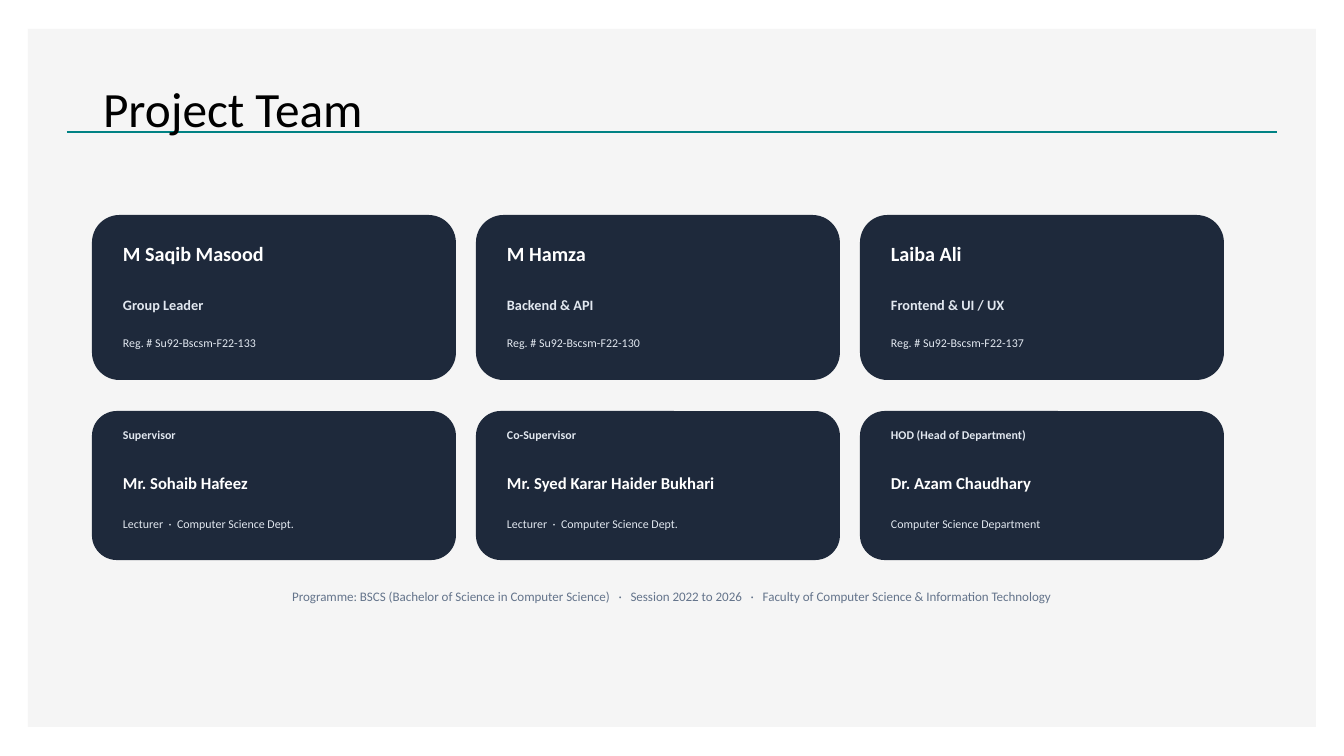
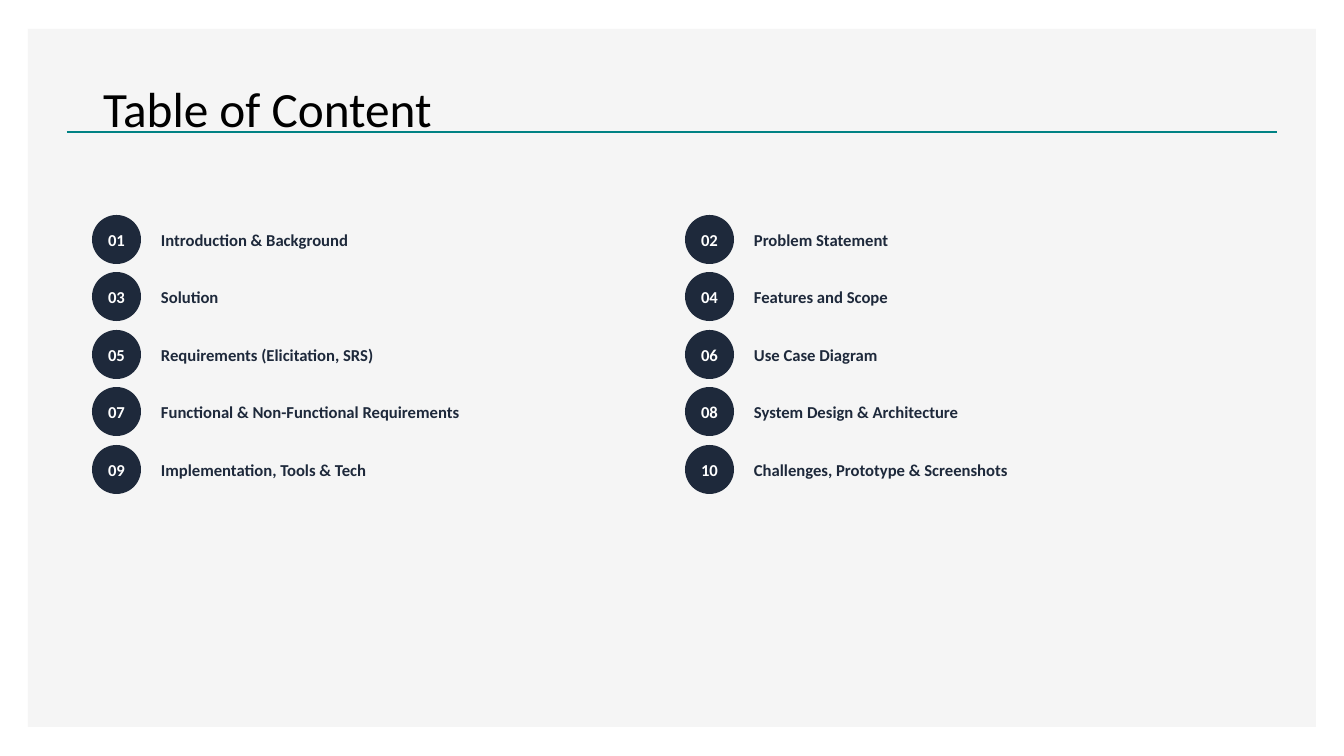
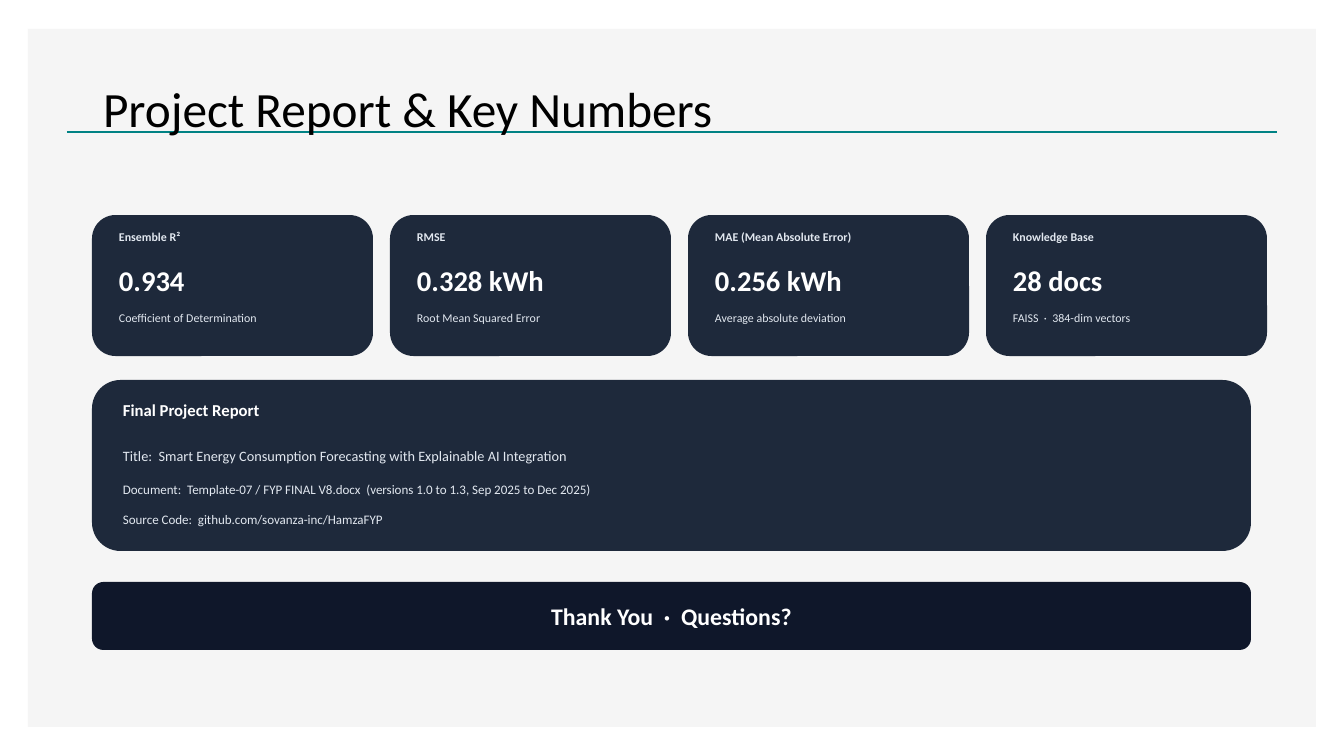
from dataclasses import dataclass

from lxml import etree
from pptx import Presentation
from pptx.dml.color import RGBColor
from pptx.enum.shapes import MSO_CONNECTOR, MSO_SHAPE
from pptx.enum.text import MSO_ANCHOR, MSO_AUTO_SIZE, PP_ALIGN
from pptx.oxml.ns import qn
from pptx.util import Emu, Pt

RECT, ROUNDED, OVAL = MSO_SHAPE.RECTANGLE, MSO_SHAPE.ROUNDED_RECTANGLE, MSO_SHAPE.OVAL
STRAIGHT = MSO_CONNECTOR.STRAIGHT
TOP, MIDDLE = MSO_ANCHOR.TOP, MSO_ANCHOR.MIDDLE
LEFT, CENTER = PP_ALIGN.LEFT, PP_ALIGN.CENTER
NO_FIT = MSO_AUTO_SIZE.NONE

SLIDE_W, SLIDE_H = 1344, 756
SCALE = 12192000 / SLIDE_W
MARGIN, BODY_TOP, BODY_W = 92, 215, 1159


def px(n):
    return Emu(round(n * SCALE))


@dataclass(frozen=True)
class TextStyle:
    size: float
    color: str
    bold: bool = False


@dataclass(frozen=True)
class Theme:
    font: str = "Calibri"
    panel: str = "F5F5F5"
    rule: str = "008284"
    card: str = "1E293B"
    banner: str = "0F172A"
    title: TextStyle = TextStyle(35.2, "000000")
    number: TextStyle = TextStyle(20.4, "FFFFFF", True)
    closing: TextStyle = TextStyle(17, "FFFFFF", True)
    name: TextStyle = TextStyle(14.4, "FFFFFF", True)
    heading: TextStyle = TextStyle(11.9, "FFFFFF", True)
    topic: TextStyle = TextStyle(11.9, "1E293B", True)
    role: TextStyle = TextStyle(10.2, "E2E8F0", True)
    body: TextStyle = TextStyle(10.2, "E2E8F0")
    detail: TextStyle = TextStyle(9.3, "E2E8F0")
    caption: TextStyle = TextStyle(9.3, "64748B")
    label: TextStyle = TextStyle(8.5, "E2E8F0", True)
    note: TextStyle = TextStyle(8.5, "E2E8F0")


class Deck:
    def __init__(self, theme):
        self.theme = theme
        self.prs = Presentation()
        self.prs.slide_width, self.prs.slide_height = px(SLIDE_W), px(SLIDE_H)
        self.layout = self.prs.slide_layouts[5]
        self.s = None

    def slide(self, title):
        first = self.s is None
        self.s = self.prs.slides.add_slide(self.layout)
        if first:
            self.backdrop()
        sp = self.s.shapes.title
        sp.left, sp.top, sp.width, sp.height = px(93), px(40), px(BODY_W), px(146)
        tf = sp.text_frame
        tf.auto_size, tf.vertical_anchor = NO_FIT, MIDDLE
        self.run(tf.paragraphs[0], title, self.theme.title, LEFT)
        tf.paragraphs[0].line_spacing = 0.8

    def backdrop(self):
        panel = self.shape(RECT, 28, 29, 1288, 698, self.theme.panel)
        rule = self.line(67, 132, 1277, 132, self.theme.rule, 2)
        for i, sp in enumerate((panel, rule)):
            sp.element.xpath(".//p:cNvPr")[0].set("id", str(100 + i))
            self.layout.shapes.element.insert(2 + i, sp.element)

    def shape(self, kind, x, y, w, h, fill):
        sp = self.s.shapes.add_shape(kind, px(x), px(y), px(w), px(h))
        sp.shadow.inherit = False
        sp.fill.solid()
        sp.fill.fore_color.rgb = RGBColor.from_string(fill)
        sp.line.fill.background()
        return sp

    def line(self, x1, y1, x2, y2, color, width):
        ln = self.s.shapes.add_connector(STRAIGHT, px(x1), px(y1), px(x2), px(y2))
        ln.line.color.rgb = RGBColor.from_string(color)
        ln.line.width = Pt(width)
        etree.SubElement(ln.element.spPr, qn("a:effectLst"))
        return ln

    def run(self, p, text, style, align):
        p.alignment = align
        r = p.add_run()
        r.text = text
        r.font.name = self.theme.font
        r.font.size = Pt(style.size)
        r.font.bold = style.bold
        r.font.color.rgb = RGBColor.from_string(style.color)

    def fill_text(self, sp, text, style, align, anchor):
        tf = sp.text_frame
        tf.word_wrap = True
        tf.margin_left = tf.margin_right = px(7)
        tf.margin_top = tf.margin_bottom = px(2)
        tf.vertical_anchor = anchor
        self.run(tf.paragraphs[0], text, style, align)

    def text(self, x, y, w, h, text, style, align=LEFT, anchor=TOP):
        sp = self.s.shapes.add_textbox(px(x), px(y), px(w), px(h))
        self.fill_text(sp, text, style, align, anchor)

    def badge(self, kind, x, y, w, h, fill, text, style):
        self.fill_text(self.shape(kind, x, y, w, h, fill), text, style, CENTER, MIDDLE)

    def card(self, x, y, w, h, inset, rows, texts):
        self.shape(ROUNDED, x, y, w, h, self.theme.card)
        for (dy, row_h, style), text in zip(rows, texts):
            self.text(x + inset, y + dy, w - 2 * inset, row_h, text, style)

    def card_row(self, y, w, h, gap, inset, rows, cards):
        for i, texts in enumerate(cards):
            self.card(MARGIN + i * (w + gap), y, w, h, inset, rows, texts)


def team(deck):
    t = deck.theme
    deck.slide("Project Team")
    deck.card_row(BODY_TOP, 364, 165, 20, 24,
                  [(24, 49, t.name), (79, 42, t.role), (119, 42, t.note)], [
                      ("M Saqib Masood", "Group Leader", "Reg. # Su92-Bscsm-F22-133"),
                      ("M Hamza", "Backend & API", "Reg. # Su92-Bscsm-F22-130"),
                      ("Laiba Ali", "Frontend & UI / UX", "Reg. # Su92-Bscsm-F22-137"),
                  ])
    deck.card_row(411, 364, 149, 20, 24,
                  [(15, 42, t.label), (60, 46, t.heading), (104, 42, t.note)], [
                      ("Supervisor", "Mr. Sohaib Hafeez",
                       "Lecturer  ·  Computer Science Dept."),
                      ("Co-Supervisor", "Mr. Syed Karar Haider Bukhari",
                       "Lecturer  ·  Computer Science Dept."),
                      ("HOD (Head of Department)", "Dr. Azam Chaudhary",
                       "Computer Science Department"),
                  ])
    deck.text(MARGIN, 577, BODY_W, 39,
              "Programme: BSCS (Bachelor of Science in Computer Science)   ·   "
              "Session 2022 to 2026   ·   "
              "Faculty of Computer Science & Information Technology",
              t.caption, CENTER, MIDDLE)


def contents(deck):
    t = deck.theme
    deck.slide("Table of Content")
    topics = [
        "Introduction & Background", "Problem Statement",
        "Solution", "Features and Scope",
        "Requirements (Elicitation, SRS)", "Use Case Diagram",
        "Functional & Non-Functional Requirements", "System Design & Architecture",
        "Implementation, Tools & Tech", "Challenges, Prototype & Screenshots",
    ]
    for i, topic in enumerate(topics):
        row, col = divmod(i, 2)
        x, y = MARGIN + col * 593, BODY_TOP + row * 230 // 4
        deck.badge(OVAL, x, y, 49, 49, t.card, f"{i + 1:02d}", t.heading)
        deck.text(x + 62, y, 501, 49, topic, t.topic, anchor=MIDDLE)


def report(deck):
    t = deck.theme
    deck.slide("Project Report & Key Numbers")
    deck.card_row(BODY_TOP, 281, 141, 17, 20,
                  [(13, 31, t.label), (46, 61, t.number), (94, 35, t.note)], [
                      ("Ensemble R²", "0.934", "Coefficient of Determination"),
                      ("RMSE", "0.328 kWh", "Root Mean Squared Error"),
                      ("MAE (Mean Absolute Error)", "0.256 kWh",
                       "Average absolute deviation"),
                      ("Knowledge Base", "28 docs", "FAISS  ·  384-dim vectors"),
                  ])
    deck.card(MARGIN, 380, BODY_W, 171, 24,
              [(18, 46, t.heading), (65, 39, t.body),
               (100, 39, t.detail), (130, 39, t.detail)],
              ["Final Project Report",
               "Title:  Smart Energy Consumption Forecasting with Explainable AI Integration",
               "Document:  Template-07 / FYP FINAL V8.docx  "
               "(versions 1.0 to 1.3, Sep 2025 to Dec 2025)",
               "Source Code:  github.com/sovanza-inc/HamzaFYP"])
    deck.badge(ROUNDED, MARGIN, 582, BODY_W, 68, t.banner,
               "Thank You  ·  Questions?", t.closing)


def main():
    deck = Deck(Theme())
    for build in (team, contents, report):
        build(deck)
    deck.prs.save("out.pptx")


if __name__ == "__main__":
    main()
